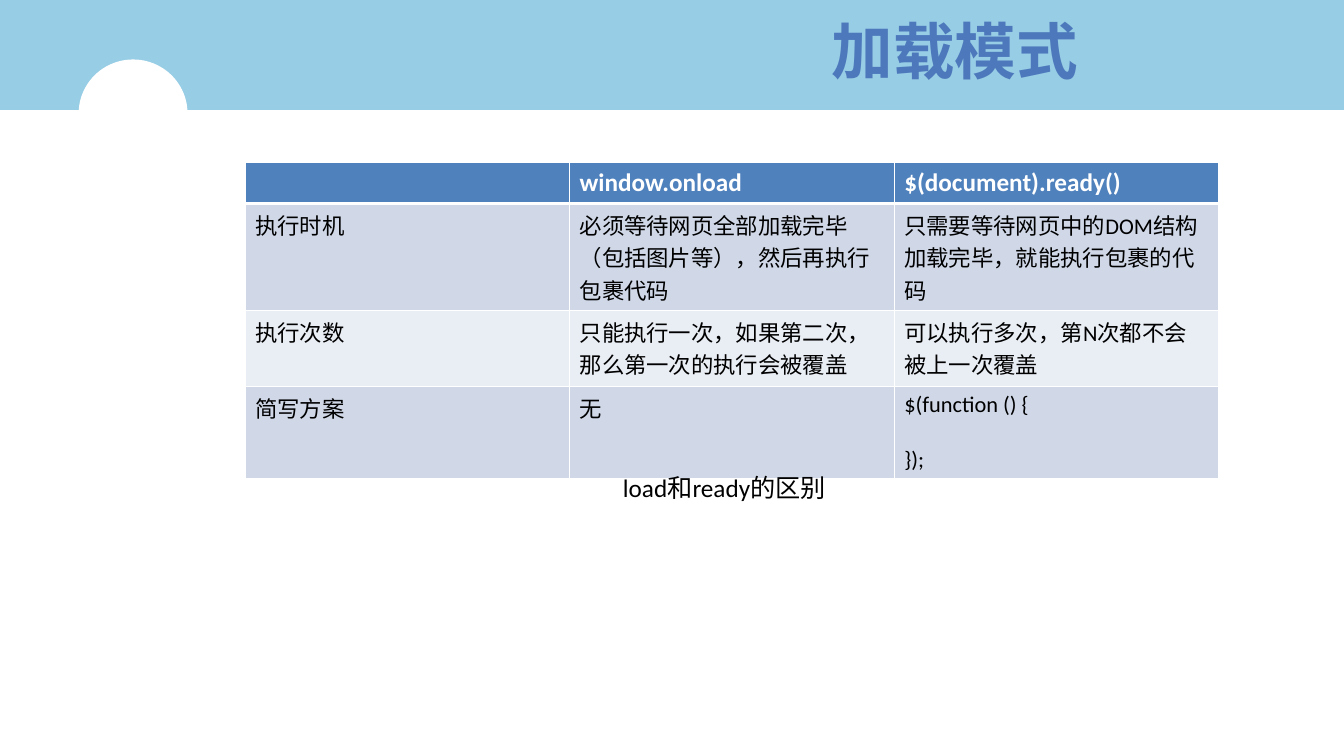
from lxml.etree import SubElement
from pptx import Presentation
from pptx.dml.color import RGBColor
from pptx.enum.shapes import MSO_SHAPE
from pptx.enum.text import MSO_ANCHOR, PP_ALIGN
from pptx.oxml.ns import qn
from pptx.util import Inches, Pt

# Content
TITLE = "加载模式"
CAPTION = "load和ready的区别"
ROWS = [
    ["", "window.onload", "$(document).ready()"],
    ["执行时机", "必须等待网页全部加载完毕（包括图片等），然后再执行包裹代码",
     "只需要等待网页中的DOM结构加载完毕，就能执行包裹的代码"],
    ["执行次数", "只能执行一次，如果第二次，那么第一次的执行会被覆盖",
     "可以执行多次，第N次都不会被上一次覆盖"],
    ["简写方案", "无", "$(function () {\n});"],
]

# Look
COLORS = {"sky": "97CDE5", "white": "FFFFFF", "title": "4D79BC", "head": "4F81BD",
          "odd": "D0D8E8", "even": "E9EDF4", "black": "000000"}
TITLE_FONT = {"name": "Calibri", "size": Pt(44), "bold": True}
HEAD_FONT = {"name": "Calibri", "size": Pt(18), "bold": True}
CELL_FONT = {"name": "Calibri", "size": Pt(16), "bold": False}
CAPTION_FONT = {"name": "Calibri", "size": Pt(18), "bold": False}
DECORATIONS = [
    (MSO_SHAPE.RECTANGLE, (0, 0, 13.33, 1.09), "sky"),
    (MSO_SHAPE.OVAL, (0.78, 0.59, 1.08, 1.07), "white"),
]
TITLE_AREA = (5.75, 0.01, 7.44, 0.96)
CAPTION_AREA = (5.32, 4.64, 3.73, 0.4)
TABLE_LEFT, TABLE_TOP, COLUMN_WIDTH = 2.43, 1.61, 3.22
ROW_HEIGHTS = [0.41, 1.05, 0.75, 0.91]
CODE_GAP = Pt(19.5)


def color(name):
    return RGBColor.from_string(COLORS[name])


def write(frame, text, font, color_name, align=PP_ALIGN.LEFT, gap=Pt(0)):
    frame.word_wrap = True
    for index, line in enumerate(text.split("\n")):
        para = frame.add_paragraph() if index else frame.paragraphs[0]
        para.alignment = align
        if index:
            para.space_before = gap
        span = para.add_run()
        span.text = line
        for key, value in font.items():
            setattr(span.font, key, value)
        span.font.color.rgb = color(color_name)


def add_borders(cell, bottom_width):
    properties = cell._tc.get_or_add_tcPr()
    for side, width in (("L", 1), ("R", 1), ("T", 1), ("B", bottom_width)):
        line = SubElement(properties, qn(f"a:ln{side}"), w=str(Pt(width)))
        fill = SubElement(line, qn("a:solidFill"))
        SubElement(fill, qn("a:srgbClr"), val=COLORS["white"])


deck = Presentation()
deck.slide_width, deck.slide_height = Inches(13.33), Inches(7.5)
page = deck.slides.add_slide(deck.slide_layouts[5])

# Header band with its round notch
for kind, area, fill_name in DECORATIONS:
    shape = page.shapes.add_shape(kind, *map(Inches, area))
    shape.shadow.inherit = False
    shape.fill.solid()
    shape.fill.fore_color.rgb = color(fill_name)
    shape.line.fill.background()

# Title, brought in front of the band
title = page.shapes.title
title.element.getparent().append(title.element)
title.left, title.top, title.width, title.height = map(Inches, TITLE_AREA)
title.text_frame.vertical_anchor = MSO_ANCHOR.MIDDLE
write(title.text_frame, TITLE, TITLE_FONT, "title", PP_ALIGN.CENTER)

# Comparison table
column_count = len(ROWS[0])
table = page.shapes.add_table(
    len(ROWS), column_count, Inches(TABLE_LEFT), Inches(TABLE_TOP),
    Inches(COLUMN_WIDTH * column_count), Inches(sum(ROW_HEIGHTS))).table
for column in table.columns:
    column.width = Inches(COLUMN_WIDTH)
for row_index, texts in enumerate(ROWS):
    is_head = row_index == 0
    table.rows[row_index].height = Inches(ROW_HEIGHTS[row_index])
    fill_name = "head" if is_head else "odd" if row_index % 2 else "even"
    for column_index, text in enumerate(texts):
        cell = table.cell(row_index, column_index)
        add_borders(cell, 3 if is_head else 1)
        cell.fill.solid()
        cell.fill.fore_color.rgb = color(fill_name)
        if text:
            write(cell.text_frame, text, HEAD_FONT if is_head else CELL_FONT,
                  "white" if is_head else "black", gap=CODE_GAP)

# Caption
box = page.shapes.add_textbox(*map(Inches, CAPTION_AREA))
write(box.text_frame, CAPTION, CAPTION_FONT, "black", PP_ALIGN.CENTER)

deck.save("out.pptx")
